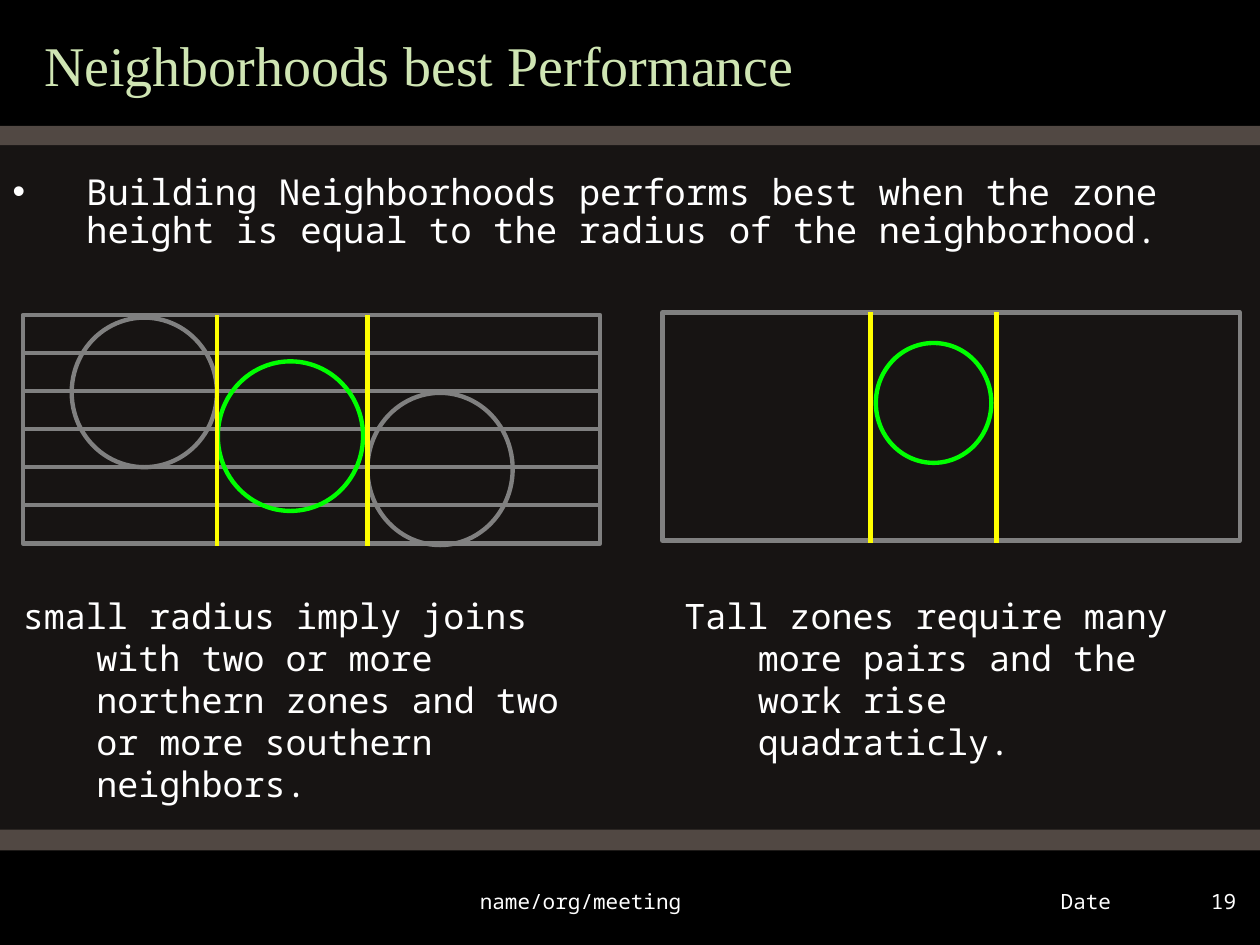
"""Build the slide on zone height and neighborhood radius."""
from pptx import Presentation
from pptx import util as u
from pptx.dml import color
from pptx.enum import shapes, text
from pptx.oxml import ns
from lxml import etree

COLORS = {
    "background": "171413", "black": "000000", "band": "514843",
    "title": "CFE5B3", "text": "FFFFFF", "zone": "808080",
    "active": "00FF00", "border": "FFFF00",
}
MONO, SERIF = "Noto Sans Mono", "Times New Roman"
HANG = 42


class ZoneSlide:
    """Holds the style and the current slide; all lengths are in points."""

    def __init__(self, deck):
        self.slide = deck.slides.add_slide(deck.slide_layouts[1])
        self.line_width = u.Pt(2.5)
        self.paint(self.slide.background.fill, "background")

    def paint(self, fill, name):
        fill.solid()
        fill.fore_color.rgb = color.RGBColor.from_string(COLORS[name])

    def band(self, top, height, name):
        band = self.slide.shapes.add_shape(
            shapes.MSO_SHAPE.RECTANGLE, 0, u.Pt(top), u.Pt(720), u.Pt(height))
        band.shadow.inherit = False
        self.paint(band.fill, name)
        band.line.fill.background()
        self.slide.shapes.title.element.addprevious(band.element)

    def set_text(self, holder, words, size, font=MONO, name="text",
                 align=text.PP_ALIGN.LEFT, spacing=1.0, hang=0, bullet=None):
        frame = holder.text_frame
        frame.word_wrap = True
        frame.auto_size = text.MSO_AUTO_SIZE.NONE
        frame.vertical_anchor = text.MSO_ANCHOR.TOP
        paragraph = frame.paragraphs[0]
        paragraph.text = words
        paragraph.alignment = align
        paragraph.line_spacing = spacing
        paragraph.space_before = u.Pt(0)
        if hang:
            properties = paragraph._p.get_or_add_pPr()
            properties.set("marL", str(u.Pt(hang)))
            properties.set("indent", str(-u.Pt(hang)))
            if bullet:
                etree.SubElement(properties, ns.qn("a:buChar"), char=bullet)
        paragraph.font.size = u.Pt(size)
        paragraph.font.name = font
        paragraph.font.color.rgb = color.RGBColor.from_string(COLORS[name])

    def placeholder(self, holder, box, words, size, **style):
        holder.left, holder.top, holder.width, holder.height = map(u.Pt, box)
        self.set_text(holder, words, size, **style)

    def textbox(self, box, words, size, **style):
        self.set_text(self.slide.shapes.add_textbox(*map(u.Pt, box)), words, size, **style)

    def group(self):
        return self.slide.shapes.add_group_shape()

    def outline(self, group, kind, box, name):
        figure = group.shapes.add_shape(kind, *map(u.Pt, box))
        figure.shadow.inherit = False
        figure.fill.background()
        self.paint(figure.line.fill, name)
        figure.line.width = self.line_width
        return figure

    def zone(self, group, box):
        return self.outline(group, shapes.MSO_SHAPE.RECTANGLE, box, "zone")

    def circle(self, group, box, name):
        self.outline(group, shapes.MSO_SHAPE.OVAL, box, name)

    def line(self, group, start, end, name):
        connector = group.shapes.add_connector(
            shapes.MSO_CONNECTOR.STRAIGHT, *map(u.Pt, start + end))
        self.paint(connector.line.fill, name)
        connector.line.width = self.line_width
        etree.SubElement(connector.element.spPr, ns.qn("a:effectLst"))
        return connector

    def midline(self, group, zone, box):
        left, top, width, height = box
        middle = top + height / 2
        divider = self.line(group, (left, middle), (left + width, middle), "zone")
        divider.begin_connect(zone, 1)
        divider.end_connect(zone, 3)

    def borders(self, group, positions, top):
        for x in positions:
            self.line(group, (x, top), (x, top + 132), "border")


def main():
    deck = Presentation()
    deck.slide_width, deck.slide_height = u.Pt(720), u.Pt(540)
    page = ZoneSlide(deck)

    for top, height, name in [(479.5, 60.5, "black"), (0, 78, "black"),
                              (72, 11, "band"), (474, 12, "band")]:
        page.band(top, height, name)

    page.placeholder(page.slide.shapes.title, (18, 21, 522, 69),
                     "Neighborhoods best Performance", 32,
                     font=SERIF, name="title", spacing=0.8)
    page.placeholder(page.slide.placeholders[1], (0, 96, 720, 60),
                     "Building Neighborhoods performs best when the zone height "
                     "is equal to the radius of the neighborhood.", 20.4,
                     spacing=0.9, hang=HANG, bullet="•")
    page.textbox((6, 336, 348, 114),
                 "small radius imply joins with two or more northern zones "
                 "and two or more southern neighbors.", 20, hang=HANG)
    page.textbox((384, 336, 312, 96),
                 "Tall zones require many more pairs and the work rise "
                 "quadraticly.", 20, hang=HANG)

    short_zones = page.group()
    for row in range(3):
        box = (13, 180 + 43.5 * row, 330, 43.5)
        page.midline(short_zones, page.zone(short_zones, box), box)
    for box, name in [((41, 181.5, 83, 85.5), "zone"),
                      ((210, 224.5, 83, 87), "zone"),
                      ((124.5, 206.5, 83, 85.5), "active")]:
        page.circle(short_zones, box, name)
    page.borders(short_zones, (124, 210), 180)

    tall_zone = page.group()
    page.zone(tall_zone, (378.5, 178.5, 330, 130.5))
    page.circle(tall_zone, (500.5, 196, 66, 68.5), "active")
    page.borders(tall_zone, (497.5, 569.5), 178.5)

    for left, width, words, align in [
            (150, 363.5, "name/org/meeting", text.PP_ALIGN.CENTER),
            (660, 53.5, "19", text.PP_ALIGN.RIGHT),
            (516, 126, "Date", text.PP_ALIGN.RIGHT)]:
        page.textbox((left, 504, width, 24), words, 12, align=align)

    deck.save("out.pptx")


if __name__ == "__main__":
    main()
